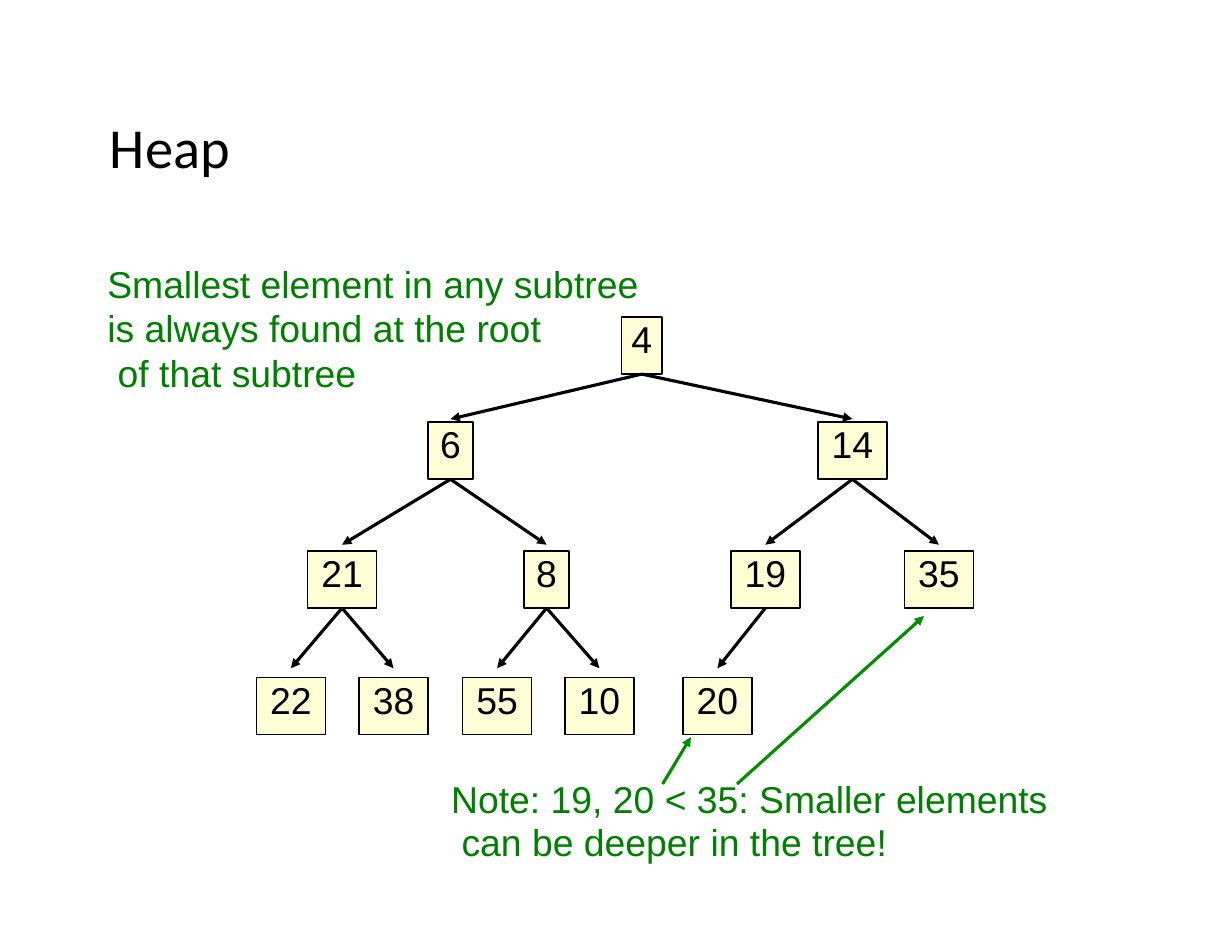
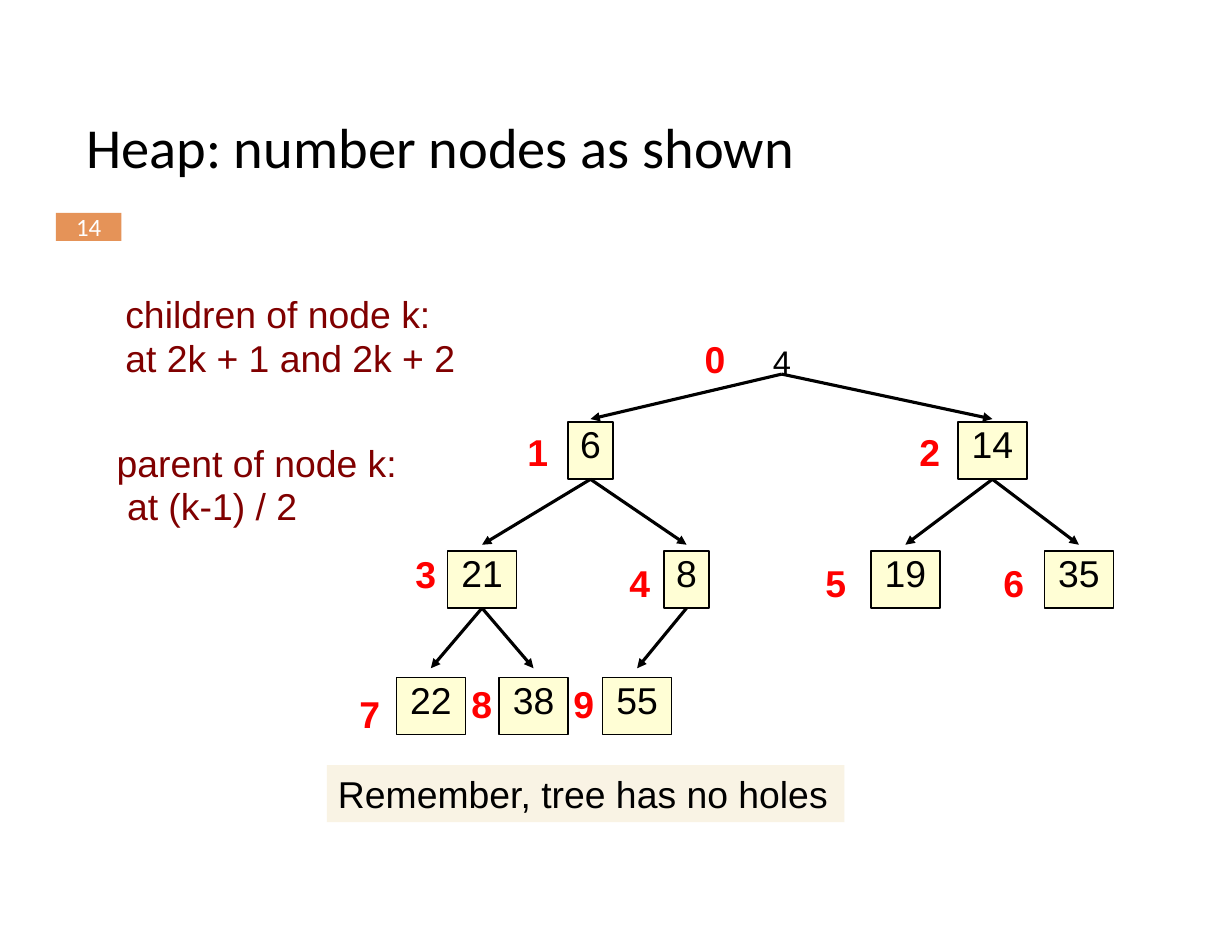
import pptx
import pptx.util
import pptx.dml.color
import pptx.enum.shapes
import pptx.enum.text
import pptx.oxml
import pptx.oxml.ns
import lxml.etree

Pt = pptx.util.Pt
RGBColor = pptx.dml.color.RGBColor
ALIGN = pptx.enum.text.PP_ALIGN
ANCHOR = pptx.enum.text.MSO_ANCHOR

BLACK = RGBColor(0x00, 0x00, 0x00)
WHITE = RGBColor(0xFF, 0xFF, 0xFF)
CREAM = RGBColor(0xFF, 0xFE, 0xD5)
SAND = RGBColor(0xF9, 0xF3, 0xE4)
ORANGE = RGBColor(0xE5, 0x93, 0x58)
GREEN = RGBColor(0x00, 0x80, 0x00)
ARROW_GREEN = RGBColor(0x00, 0x8F, 0x00)
MAROON = RGBColor(0x80, 0x00, 0x00)
RED = RGBColor(0xFF, 0x00, 0x00)

LEVEL_TOPS = [203.8, 271.4, 354.2, 435.6]
NODE_HEIGHT = 36.7
SPACE_WIDTH = 6.7
INDEXED_SHIFT = 90

# Value: (level, centre, parent)
HEAP = {
    "4": (0, 412.6, None),
    "6": (1, 289.6, "4"),
    "14": (1, 548, "4"),
    "21": (2, 219.9, "6"),
    "8": (2, 351.4, "6"),
    "19": (2, 492, "14"),
    "35": (2, 603.6, "14"),
    "22": (3, 187, "21"),
    "38": (3, 253, "21"),
    "55": (3, 319.6, "8"),
    "10": (3, 385.3, "8"),
    "20": (3, 461.2, "19"),
}

INDEX_PLACES = [
    (453, 216), (339, 275.8), (591, 275.8), (267, 354.2), (404.6, 360),
    (530.6, 360), (645, 360), (231, 444.2), (303, 437.8), (368.6, 437.8),
]


def write(frame, text, size=24, font="Arial", color=BLACK, bold=False,
          align=ALIGN.LEFT, anchor=ANCHOR.TOP, spacing=None, indent=0,
          inset=(0, 0), wrap=True):
    """Fill a frame, one paragraph per line; indent applies after the first."""
    frame.word_wrap = wrap
    frame.vertical_anchor = anchor
    frame.margin_left, frame.margin_top = Pt(inset[0]), Pt(inset[1])
    frame.margin_right = frame.margin_bottom = 0
    frame.text = text
    for number, paragraph in enumerate(frame.paragraphs):
        paragraph.alignment = align
        if spacing:
            paragraph.line_spacing = Pt(spacing)
        if number and indent:
            paragraph._p.get_or_add_pPr().set("marL", str(Pt(indent)))
        paragraph.font.size = Pt(size)
        for run in paragraph.runs:
            run.font.name = font
            run.font.size = Pt(size)
            run.font.bold = bold
            run.font.color.rgb = color


class HeapDeck:
    def __init__(self):
        self.deck = pptx.Presentation()
        self.deck.slide_width, self.deck.slide_height = Pt(792), Pt(612)
        self.slide = None

    def start(self, title, left):
        self.slide = self.deck.slides.add_slide(self.deck.slide_layouts[6])
        self.text(title, left, 35, 680, 118, size=36.3, font="Calibri",
                  anchor=ANCHOR.MIDDLE)

    def text(self, content, left, top, width, height, **style):
        box = self.slide.shapes.add_textbox(
            Pt(left), Pt(top), Pt(width), Pt(height))
        write(box.text_frame, content, **style)

    def box(self, content, left, top, width, height, fill, outline=None,
            **style):
        box = self.slide.shapes.add_shape(
            pptx.enum.shapes.MSO_SHAPE.RECTANGLE,
            Pt(left), Pt(top), Pt(width), Pt(height))
        box.shadow.inherit = False
        box.fill.solid()
        box.fill.fore_color.rgb = fill
        if outline is None:
            box.line.fill.background()
        else:
            box.line.color.rgb = outline
            box.line.width = Pt(1)
        write(box.text_frame, content, **style)
        return box

    def arrow(self, start, tip, color=BLACK, parent=None):
        arrow = self.slide.shapes.add_connector(
            pptx.enum.shapes.MSO_CONNECTOR.STRAIGHT,
            Pt(start[0]), Pt(start[1]), Pt(tip[0]), Pt(tip[1]))
        if parent is not None:
            arrow.begin_connect(parent, 2)
        arrow.line.color.rgb = color
        arrow.line.width = Pt(2)
        properties = arrow._element.spPr
        qn = pptx.oxml.ns.qn
        lxml.etree.SubElement(properties.find(qn("a:ln")), qn("a:tailEnd"),
                              type="triangle")
        lxml.etree.SubElement(properties, qn("a:effectLst"))

    def tree(self, values, shift=0, boxed_root=True):
        nodes = {}
        for value in values:
            level, center, parent = HEAP[value]
            if parent is None and not boxed_root:
                self.text(value, center + shift - 13, 220, 26, 24, size=21,
                          align=ALIGN.CENTER, wrap=False)
                continue
            width = 44.3 if len(value) == 2 else 29 if level else 26
            nodes[value] = self.box(
                value, center + shift - width / 2, LEVEL_TOPS[level], width,
                NODE_HEIGHT, CREAM, BLACK, align=ALIGN.CENTER, spacing=28.3,
                wrap=False)
        for value in values:
            level, center, parent = HEAP[value]
            if parent is None:
                continue
            parent_level, parent_center, _ = HEAP[parent]
            start = (parent_center + shift,
                     LEVEL_TOPS[parent_level] + NODE_HEIGHT)
            tip = (center + shift, LEVEL_TOPS[level] - 2 * level)
            self.arrow(start, tip, parent=nodes.get(parent))


def main():
    heap = HeapDeck()
    values = list(HEAP)

    heap.start("Heap", 70.6)
    heap.tree(values)
    heap.text("Smallest element in any subtree", 69, 167.8, 360, 29.5,
              color=GREEN, spacing=29)
    heap.text("is always found at the root\nof that subtree", 69, 195.8, 300,
              59, color=GREEN, spacing=29, indent=SPACE_WIDTH)
    heap.text("Note: 19, 20 < 35: Smaller elements\ncan be deeper in the tree!",
              290, 499.7, 400, 56, color=GREEN, spacing=28, indent=SPACE_WIDTH)
    heap.arrow((426, 504), (444.2, 473.8), ARROW_GREEN)
    heap.arrow((473.8, 504), (594, 396), ARROW_GREEN)

    heap.start("Heap: number nodes as shown", 55.4)
    heap.box("14", 36, 136.8, 42, 18, ORANGE, size=16, font="Calibri",
             color=WHITE, align=ALIGN.CENTER, anchor=ANCHOR.MIDDLE)
    heap.tree(values[:len(INDEX_PLACES)], INDEXED_SHIFT, boxed_root=False)
    for index, (left, top) in enumerate(INDEX_PLACES):
        heap.text(str(index), left, top, 15, 29.5, color=RED, bold=True,
                  spacing=29, wrap=False)
    heap.text("children of node k:\nat 2k + 1 and 2k + 2", 80.6, 188, 230, 56,
              color=MAROON, spacing=28)
    heap.text("parent of node k:\nat (k-1) / 2", 75, 283.7, 200, 56,
              color=MAROON, spacing=28, indent=SPACE_WIDTH)
    heap.box("Remember, tree has no holes", 210.2, 491.8, 332.6, 36.7, SAND,
             spacing=29, inset=(7.2, 4))

    heap.deck.save("out.pptx")


if __name__ == "__main__":
    main()
